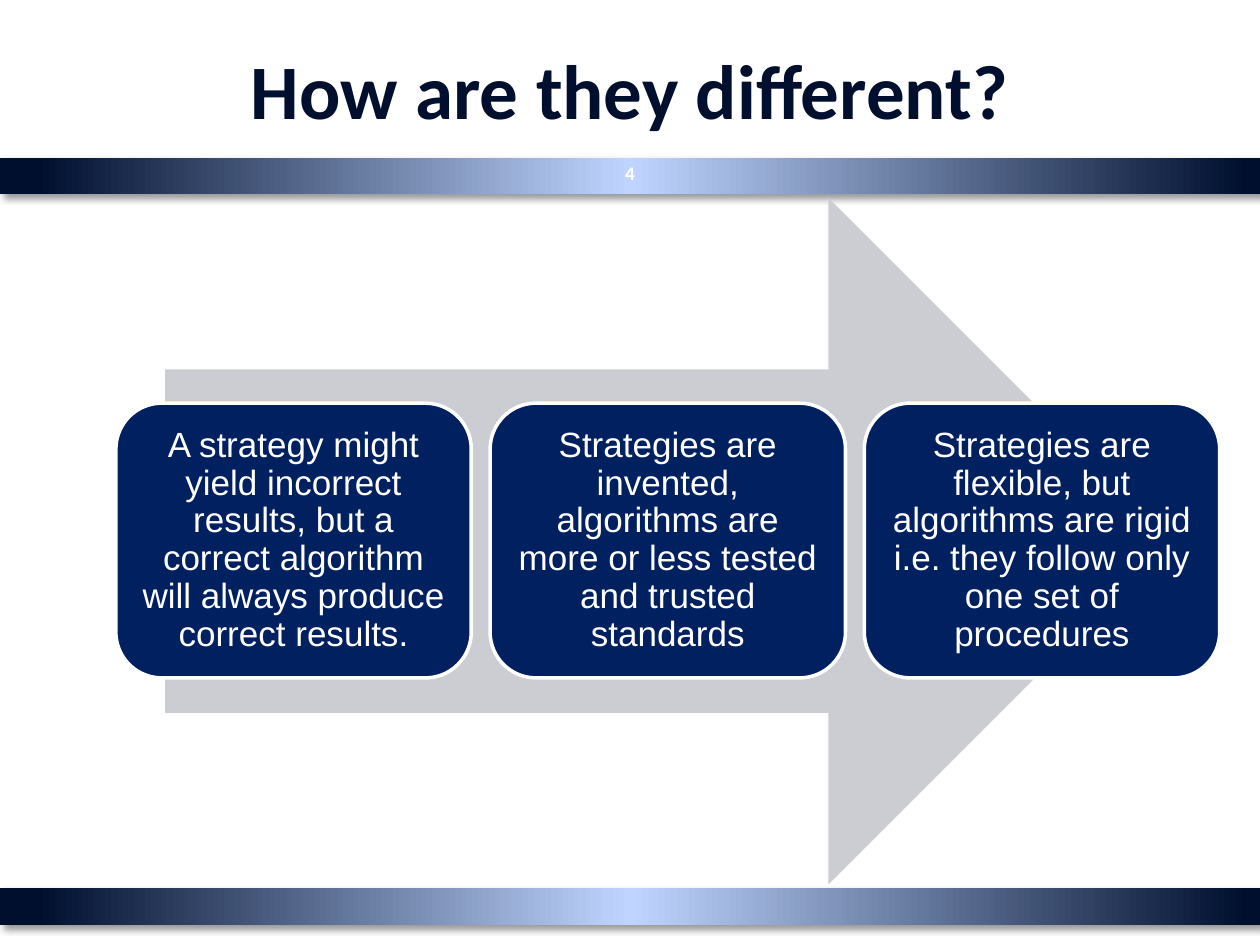
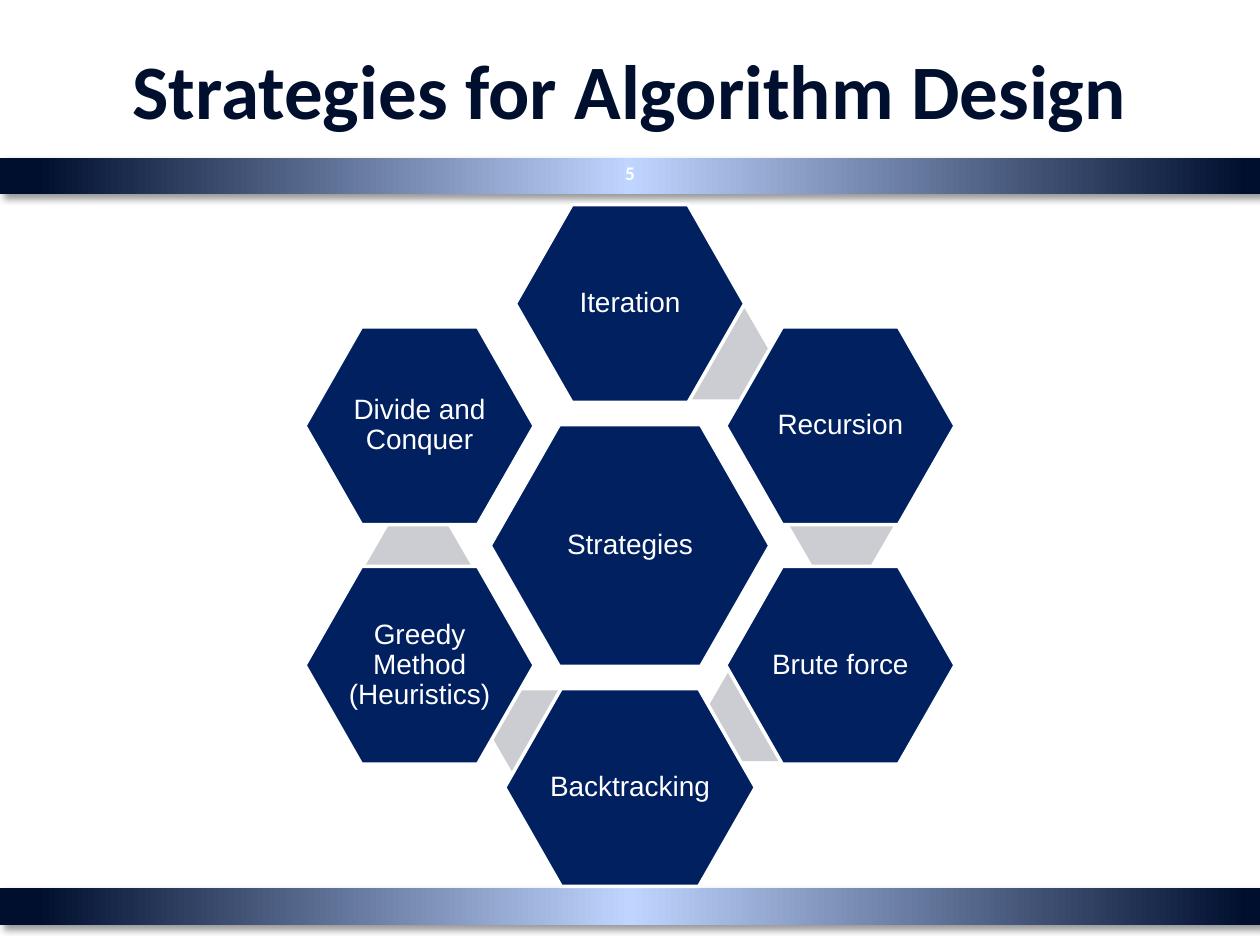
from lxml.etree import SubElement as Sub
from pptx import Presentation
from pptx.dml.color import RGBColor
from pptx.enum.shapes import MSO_SHAPE as Kind
from pptx.enum.text import MSO_ANCHOR as Anchor, MSO_AUTO_SIZE as Auto, PP_ALIGN as Align
from pptx.oxml.ns import qn
from pptx.util import Inches, Pt

NAVY = RGBColor(0x00, 0x20, 0x60)
DARK = RGBColor(0x00, 0x0F, 0x2E)
PALE = RGBColor(0xBF, 0xD5, 0xFF)
GREY = RGBColor(0xCC, 0xCD, 0xD2)
WHITE = RGBColor(0xFF, 0xFF, 0xFF)
BLACK = RGBColor(0x00, 0x00, 0x00)

STOPS = [(0, DARK), (3, DARK), (50, PALE), (99, DARK), (100, DARK)]

POINTS = [
    "A strategy might yield incorrect results, but a correct algorithm will always produce correct results.",
    "Strategies are invented, algorithms are more or less tested and trusted standards",
    "Strategies are flexible, but algorithms are rigid i.e. they follow only one set of procedures",
]

HUB = (5, 4.33)
STEP_X, STEP_Y, REACH = 1.67, 0.95, 1.92
NODES = [
    ("Iteration", 0, -REACH, 1.82),
    ("Recursion", STEP_X, -STEP_Y, 1.82),
    ("Brute force", STEP_X, STEP_Y, 1.82),
    ("Backtracking", 0, REACH, 1.99),
    ("Greedy Method (Heuristics)", -STEP_X, STEP_Y, 1.82),
    ("Divide and Conquer", -STEP_X, -STEP_Y, 1.82),
]
LINKS = [(5.7, 2.81), (6.68, 4.16), (6, 5.68), (4.32, 5.84), (3.32, 4.49)]


def put_text(frame, text, size, font="Arial", color=WHITE, bold=False,
             space=None, pad=(0.1, 0.05)):
    frame.word_wrap = True
    frame.auto_size = Auto.NONE
    frame.vertical_anchor = Anchor.MIDDLE
    frame.margin_left = frame.margin_right = Inches(pad[0])
    frame.margin_top = frame.margin_bottom = Inches(pad[1])
    para = frame.paragraphs[0]
    para.alignment = Align.CENTER
    if space:
        para.line_spacing = space
    run = para.add_run()
    run.text = text
    run.font.size = Pt(size)
    run.font.name = font
    run.font.bold = bold
    run.font.color.rgb = color


def add_form(slide, kind, box, fill=NAVY, edge=None):
    form = slide.shapes.add_shape(kind, *map(Inches, box))
    form.shadow.inherit = False
    form.fill.solid()
    form.fill.fore_color.rgb = fill
    if edge:
        form.line.color.rgb = edge
        form.line.width = Pt(2)
    else:
        form.line.fill.background()
    return form


def add_color(parent, color):
    return Sub(parent, qn("a:srgbClr"), val=str(color))


def add_band(slide, top):
    band = add_form(slide, Kind.RECTANGLE, (0, top, 10, 0.29))
    band.fill.gradient()
    band.fill.gradient_angle = 0
    props = band.element.spPr
    stops = props.find(".//" + qn("a:gsLst"))
    for old in list(stops):
        stops.remove(old)
    for place, color in STOPS:
        add_color(Sub(stops, qn("a:gs"), pos=str(place * 1000)), color)
    shade = Sub(props.find(qn("a:effectLst")), qn("a:outerShdw"),
                blurRad=str(Pt(4)), dist=str(Pt(3)), dir=str(45 * 60000),
                algn="tl", rotWithShape="0")
    Sub(add_color(shade, BLACK), qn("a:alpha"), val="40000")


def add_page(deck, title, number):
    slide = deck.slides.add_slide(deck.slide_layouts[5])
    for top in (7.05, 1.25):
        add_band(slide, top)
    head = slide.shapes.title
    head.left, head.top, head.width, head.height = map(Inches, (0.5, 0.08, 9, 1.25))
    put_text(head.text_frame, title, 44, font="Calibri", color=DARK, bold=True)
    label = slide.shapes.add_textbox(*map(Inches, (4.79, 1.17, 0.42, 0.4)))
    put_text(label.text_frame, str(number), 11, font="Calibri", bold=True)
    return slide


def add_card(slide, text, left):
    card = add_form(slide, Kind.ROUNDED_RECTANGLE, (left, 3.2, 2.82, 2.18), edge=WHITE)
    put_text(card.text_frame, text, 20, space=0.9, pad=(0.08, 0.08))


def add_hex(slide, center, wide, high, bend=0.286, **style):
    box = (center[0] - wide / 2, center[1] - high / 2, wide, high)
    cell = add_form(slide, Kind.HEXAGON, box, **style)
    cell.adjustments[0] = bend
    return cell


def add_node(slide, text, center, wide, high):
    node = add_hex(slide, center, wide, high, edge=WHITE)
    put_text(node.text_frame, text, 16, space=0.9, pad=(0.02, 0.02))


def main():
    deck = Presentation()
    deck.slide_width, deck.slide_height = Inches(10), Inches(7.5)

    slide = add_page(deck, "How are they different?", 4)
    add_form(slide, Kind.RIGHT_ARROW, (1.31, 1.57, 7.99, 5.45), fill=GREY)
    for col, text in enumerate(POINTS):
        add_card(slide, text, 0.92 + col * 2.97)

    slide = add_page(deck, "Strategies for Algorithm Design", 5)
    add_node(slide, "Strategies", HUB, 2.22, 1.92)
    for center in LINKS:
        add_hex(slide, center, 0.84, 0.72, bend=0.289, fill=GREY)
    for text, right, down, wide in NODES:
        add_node(slide, text, (HUB[0] + right, HUB[1] + down), wide, 1.57)

    deck.save("out.pptx")


if __name__ == "__main__":
    main()
